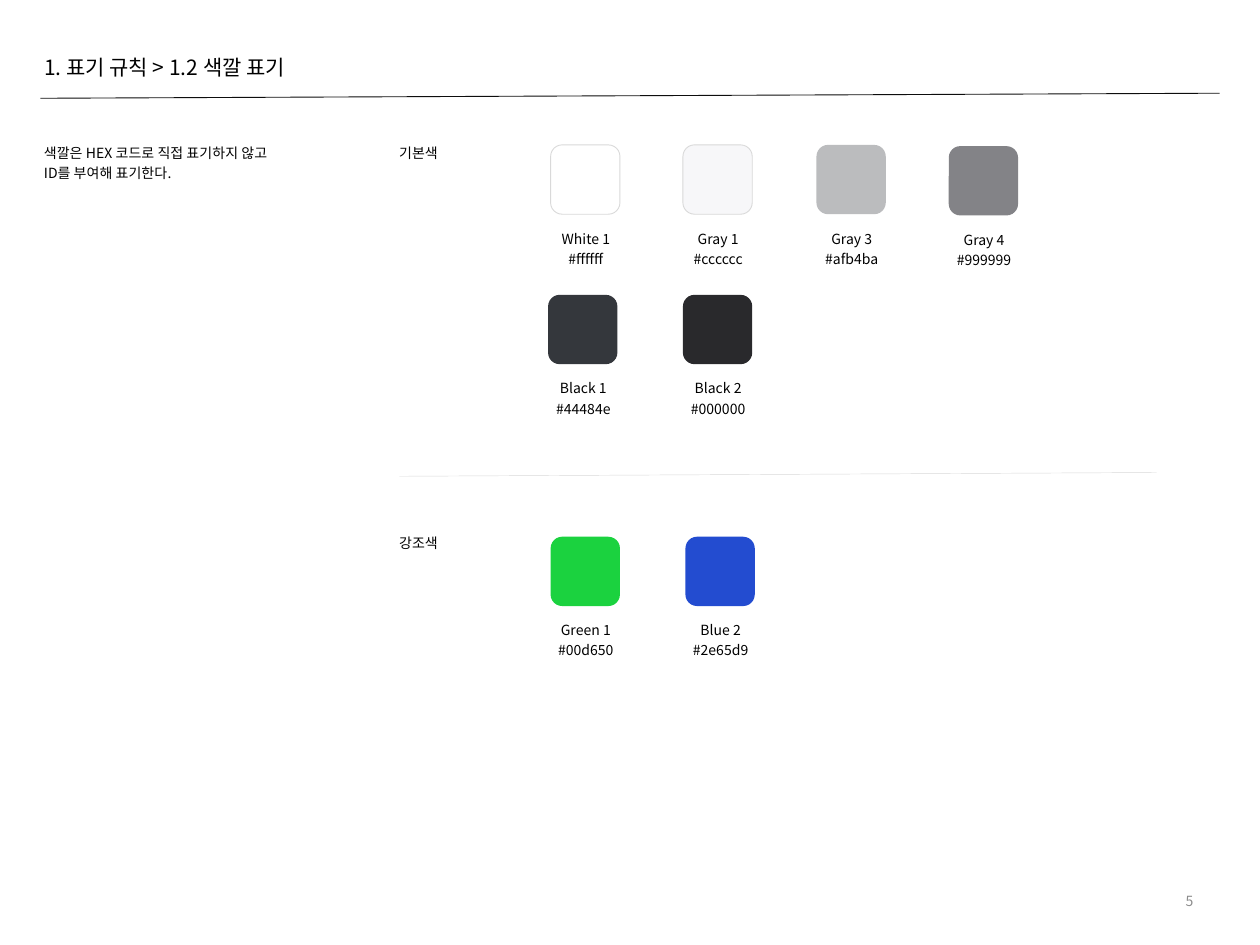
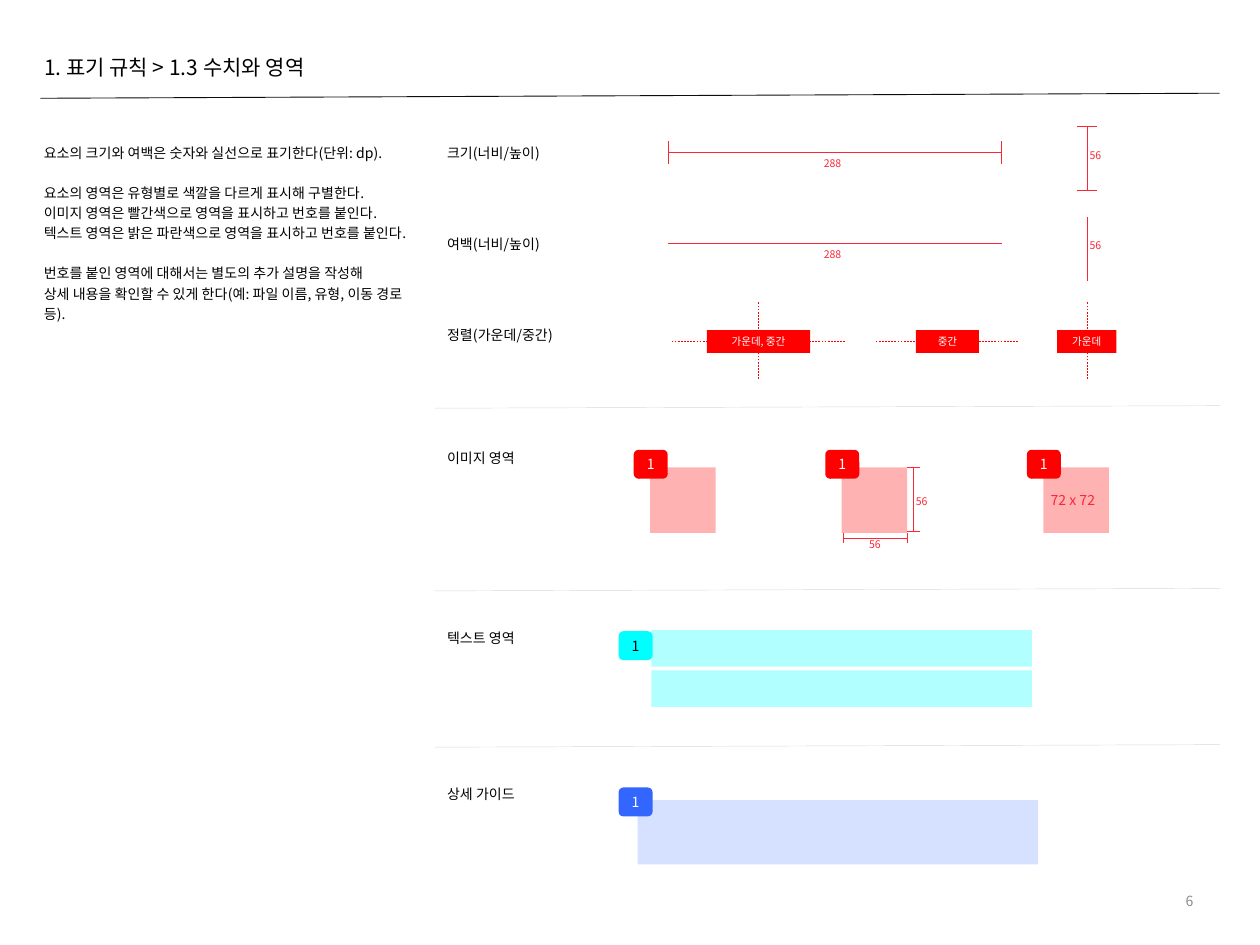
import dataclasses

import lxml.etree
import pptx
import pptx.dml.color
import pptx.enum.dml
import pptx.enum.shapes
import pptx.enum.text
import pptx.oxml.ns
import pptx.util

SCALE = 9144
RECT = pptx.enum.shapes.MSO_SHAPE.RECTANGLE
ROUND = pptx.enum.shapes.MSO_SHAPE.ROUNDED_RECTANGLE
ALIGN = pptx.enum.text.PP_ALIGN
MIDDLE = pptx.enum.text.MSO_ANCHOR.MIDDLE
TOP = pptx.enum.text.MSO_ANCHOR.TOP
FIT = pptx.enum.text.MSO_AUTO_SIZE
DASH = pptx.enum.dml.MSO_LINE.DASH


@dataclasses.dataclass(frozen=True)
class Theme:
    """Colours and type sizes of the deck."""
    font: str = "Noto Sans CJK KR"
    ink: str = "000000"
    rule: str = "0D0D0D"
    pale: str = "D9D9D9"
    mute: str = "8C8C8C"
    white: str = "FFFFFF"
    red: str = "FF0000"
    size: str = "FB2737"
    cyan: str = "00FFFF"
    blue: str = "3366FF"
    head: int = 12
    body: int = 8
    small: int = 6
    lead: float = 1.2
    gap: float = 11.5


def px(*nums):
    """Turn px into EMU."""
    return [pptx.util.Emu(round(n * SCALE)) for n in nums]


def rgb(code):
    """Turn a hex code into a colour."""
    return pptx.dml.color.RGBColor.from_string(code)


def put(item, form):
    """Set attributes from a dict of format values."""
    for key, val in form.items():
        setattr(item, key, val)


class Deck:
    """Holds the style and the current slide."""

    def __init__(self, theme):
        """Start an empty deck."""
        self.theme = theme
        self.show = pptx.Presentation()
        put(self.show, dict(zip(("slide_width", "slide_height"), px(1000, 750))))

    def page(self, title, num):
        """Add a slide with title, rule and page number."""
        look = self.theme
        self.slide = self.show.slides.add_slide(self.show.slide_layouts[5])
        head = self.slide.shapes.title
        put(head, dict(zip(("left", "top", "width", "height"), px(25, 38, 260, 30))))
        self.fill(head, [[title]], size=look.head)
        self.line(32, 78, 968, 74, look.rule, 0.5)
        self.text(732, 695, 225, 40, [[num]], color=look.mute,
                  align=ALIGN.RIGHT, anchor=MIDDLE, fit=FIT.NONE)

    def fill(self, shape, groups, size=None, color=None, align=ALIGN.LEFT,
             anchor=TOP, wrap=False, fit=FIT.SHAPE_TO_FIT_TEXT, lead=1.0):
        """Write groups of paragraphs into a shape."""
        look = self.theme
        frame = shape.text_frame
        put(frame, {"word_wrap": wrap, "auto_size": fit, "vertical_anchor": anchor})
        for side, gap in zip(("left", "top", "right", "bottom"), px(10, 5, 10, 5)):
            setattr(frame, "margin_" + side, gap)
        rows = [(row, g > 0 and i == 0) for g, group in enumerate(groups)
                for i, row in enumerate(group)]
        for i, (row, apart) in enumerate(rows):
            para = frame.add_paragraph() if i else frame.paragraphs[0]
            put(para, {"alignment": align, "line_spacing": lead,
                       "space_before": pptx.util.Pt(look.gap if apart else 0)})
            run = para.add_run()
            run.text = row
            put(run.font, {"name": look.font, "size": pptx.util.Pt(size or look.body)})
            run.font.color.rgb = rgb(color or look.ink)
            props = run.font._element
            mark = lxml.etree.SubElement(props, pptx.oxml.ns.qn("a:ea"))
            mark.set("typeface", look.font)

    def text(self, x, y, w, h, groups, **form):
        """Add a text box."""
        self.fill(self.slide.shapes.add_textbox(*px(x, y, w, h)), groups, **form)

    def note(self, x, y, w, h, rows, **form):
        """Add a text box in the body line spacing."""
        self.text(x, y, w, h, rows, lead=self.theme.lead, **form)

    def mark(self, x, y, w, word):
        """Add a small red size value."""
        self.text(x, y, w, 20, [[word]], size=self.theme.small, color=self.theme.size)

    def line(self, x1, y1, x2, y2, color, width=0.25, dash=None):
        """Add a straight line."""
        kind = pptx.enum.shapes.MSO_CONNECTOR.STRAIGHT
        item = self.slide.shapes.add_connector(kind, *px(x1, y1, x2, y2))
        item.line.color.rgb = rgb(color)
        put(item.line, {"width": pptx.util.Pt(width), "dash_style": dash})
        lxml.etree.SubElement(item._element.spPr, pptx.oxml.ns.qn("a:effectLst"))

    def split(self, x1, y1, x2, y2):
        """Add a pale line between sections."""
        self.line(x1, y1, x2, y2, self.theme.pale)

    def axis(self, x1, y1, x2, y2):
        """Add a dashed red guide."""
        self.line(x1, y1, x2, y2, self.theme.red, dash=DASH)

    def gauge(self, x1, y1, x2, y2, tick=0):
        """Add a size line with end ticks."""
        color = self.theme.size
        self.line(x1, y1, x2, y2, color)
        dx, dy = (0, tick) if y1 == y2 else (tick, 0)
        if tick:
            for x, y in ((x1, y1), (x2, y2)):
                self.line(x - dx, y - dy, x + dx, y + dy, color)

    def shape(self, kind, x, y, w, h, color, edge=None, alpha=None):
        """Add a filled shape."""
        item = self.slide.shapes.add_shape(kind, *px(x, y, w, h))
        item.shadow.inherit = False
        item.fill.solid()
        item.fill.fore_color.rgb = rgb(color)
        if alpha:
            tone = item._element.spPr.find(".//" + pptx.oxml.ns.qn("a:srgbClr"))
            part = lxml.etree.SubElement(tone, pptx.oxml.ns.qn("a:alpha"))
            part.set("val", str(alpha * 1000))
        if edge:
            item.line.color.rgb = rgb(edge)
            item.line.width = pptx.util.Pt(0.5)
        else:
            item.line.fill.background()
        return item

    def badge(self, x, y, color, ink):
        """Add a numbered badge."""
        item = self.shape(ROUND, x, y, 27, 23, color)
        self.fill(item, [["1"]], color=ink, align=ALIGN.CENTER, anchor=MIDDLE, fit=FIT.NONE)

    def tag(self, x, w, word):
        """Add a red alignment tag."""
        item = self.shape(RECT, x, 262, w, 18, self.theme.red)
        self.fill(item, [[word]], size=self.theme.small, color=self.theme.white,
                  align=ALIGN.CENTER, anchor=MIDDLE, fit=FIT.NONE)

    def swatch(self, x, y, color, name, code, edge=None):
        """Add a colour sample with its name and code."""
        self.shape(ROUND, x, y, 55, 55, color, edge)
        self.note(x - 6, y + 60, 68, 42, [[name, code]], align=ALIGN.CENTER)


def colors(deck):
    """Build the slide on colour names."""
    pale = deck.theme.pale
    deck.page("1. 표기 규칙 > 1.2 색깔 표기", "5")
    deck.note(25, 107, 222, 42, [["색깔은 HEX 코드로 직접 표기하지 않고", "ID를 부여해 표기한다."]])
    for y, word in ((107, "기본색"), (417, "강조색")):
        deck.note(307, y, 54, 24, [[word]])
    deck.split(317, 378, 918, 375)
    for sample in (
        (437, 115, "FFFFFF", "White 1", "#ffffff", pale),
        (542, 115, "F7F7F9", "Gray 1", "#cccccc", pale),
        (648, 115, "BBBCBE", "Gray 3", "#afb4ba"),
        (753, 116, "838387", "Gray 4", "#999999"),
        (435, 234, "34373C", "Black 1", "#44484e"),
        (542, 234, "29292C", "Black 2", "#000000"),
        (437, 426, "1BD23F", "Green 1", "#00d650"),
        (544, 426, "234CD0", "Blue 2", "#2e65d9"),
    ):
        deck.swatch(*sample)


def areas(deck):
    """Build the slide on sizes and areas."""
    look = deck.theme
    deck.page("1. 표기 규칙 > 1.3 수치와 영역", "6")
    deck.note(25, 107, 320, 172, [
        ["요소의 크기와 여백은 숫자와 실선으로 표기한다(단위: dp)."],
        ["요소의 영역은 유형별로 색깔을 다르게 표시해 구별한다.",
         "이미지 영역은 빨간색으로 영역을 표시하고 번호를 붙인다.",
         "텍스트 영역은 밝은 파란색으로 영역을 표시하고 번호를 붙인다."],
        ["번호를 붙인 영역에 대해서는 별도의 추가 설명을 작성해",
         "상세 내용을 확인할 수 있게 한다(예: 파일 이름, 유형, 이동 경로 등)."],
    ], wrap=True)
    for y, w, word in ((107, 104, "크기(너비/높이)"), (179, 101, "여백(너비/높이)"),
                       (252, 112, "정렬(가운데/중간)"), (349, 80, "이미지 영역"),
                       (492, 80, "텍스트 영역"), (616, 80, "상세 가이드")):
        deck.note(345, y, w, 24, [[word]], wrap=True)
    for y in (324, 469, 593):
        deck.split(345, y, 968, y - 2)

    for y, wide, tall in ((121, 9, 8), (193, 0, 0)):
        deck.gauge(530, y, 795, y, wide)
        deck.mark(644, y - 1, 35, "288")
        deck.gauge(863, y - 21, 863, y + 30, tall)
        deck.mark(855, y - 8, 30, "56")

    for x in (602, 863):
        deck.axis(x, 301, x, 240)
    for x1, x2 in ((533, 671), (695, 808)):
        deck.axis(x1, 271, x2, 271)
    for x, w, word in ((561, 82, "가운데, 중간"), (727, 50, "중간"), (839, 47, "가운데")):
        deck.tag(x, w, word)

    for x in (516, 668, 828):
        deck.shape(RECT, x, 371, 52, 52, look.red, alpha=30)
        deck.badge(x - 13, 357, look.red, look.white)
    deck.gauge(669, 427, 720, 427, 4)
    deck.mark(680, 422, 30, "56")
    deck.gauge(725, 371, 725, 422, 5)
    deck.mark(717, 388, 30, "56")
    deck.text(824, 385, 59, 24, [["72 x 72"]], color=look.size)

    for y in (500, 532):
        deck.shape(RECT, 517, y, 302, 29, look.cyan, alpha=30)
    deck.badge(491, 501, look.cyan, look.ink)
    deck.shape(RECT, 506, 635, 318, 51, look.blue, alpha=20)
    deck.badge(491, 625, look.blue, look.white)


def main():
    """Build and save the deck."""
    deck = Deck(Theme())
    colors(deck)
    areas(deck)
    deck.show.save("out.pptx")


if __name__ == "__main__":
    main()
